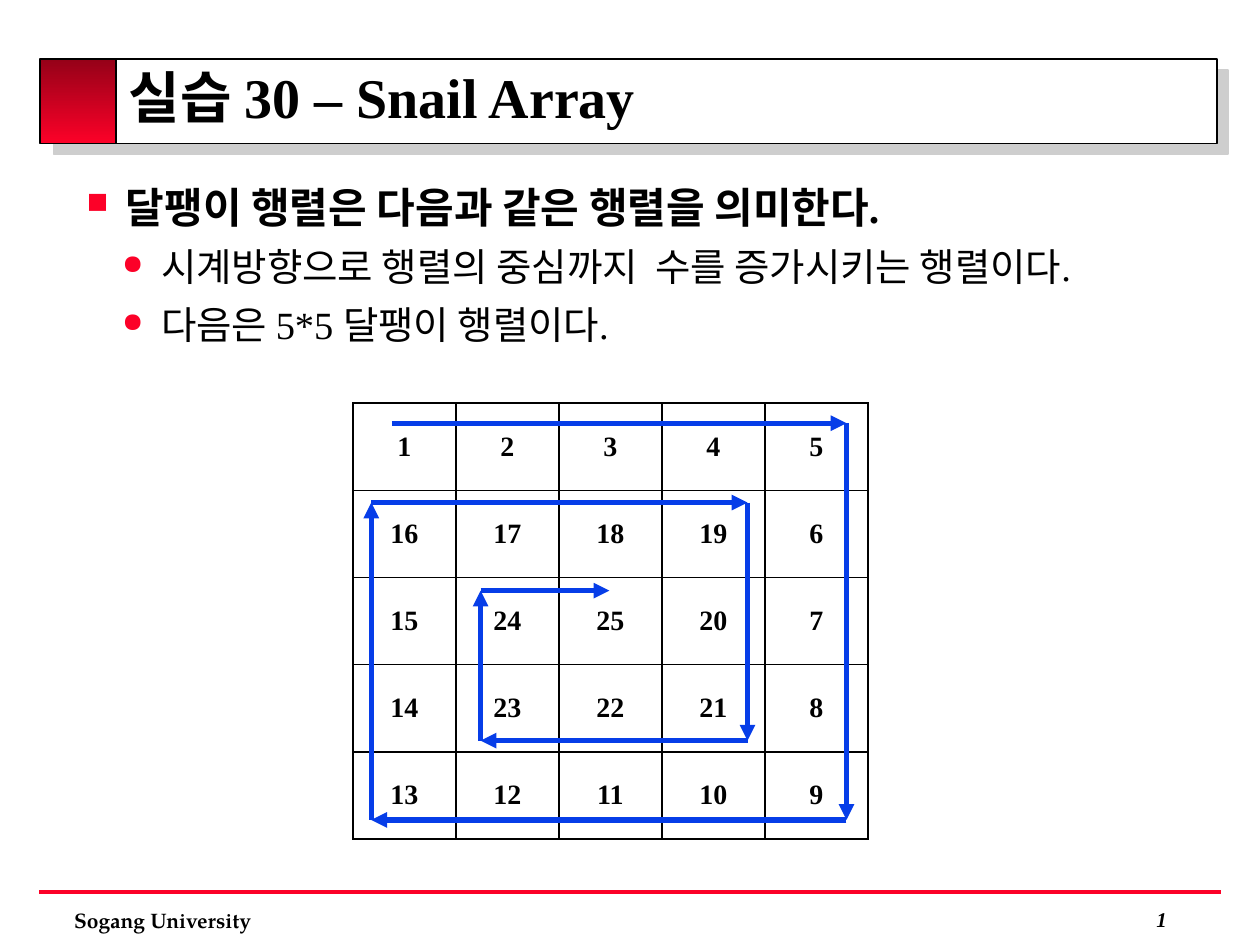
from dataclasses import dataclass

from lxml import etree
from pptx import Presentation
from pptx import util as u
from pptx.dml.color import RGBColor
from pptx.enum import shapes, text
from pptx.oxml import ns

BLACK = RGBColor(0, 0, 0)
WHITE = RGBColor(0xFF, 0xFF, 0xFF)
RED = RGBColor(0xFC, 0x01, 0x28)
WINE = RGBColor(0x95, 0x01, 0x18)
BLUE = RGBColor(0x06, 0x3D, 0xE8)
GREY = RGBColor(0xCE, 0xCE, 0xCE)
SERIF, BOOK = "Times New Roman", "TeX Gyre Pagella"


@dataclass(frozen=True)
class Box:
    left: float
    top: float
    width: float
    height: float

    def emu(self) -> list:
        return [u.Inches(v) for v in (self.left, self.top, self.width, self.height)]


@dataclass(frozen=True)
class Point:
    text: str
    mark: str
    size: float
    bold: bool
    indent: float
    gap: float


SIZE = 5
GRID = Box(2.8, 3.2, 4.09, 3.46)
CELL_W, CELL_H = GRID.width / SIZE, GRID.height / SIZE

# The spiral starts here, then turns at each stop: column, row, column, ...
START = (0.38, 0.23)
STOPS = (4.79, 4.78, 0.18, 1.14, 3.83, 3.87, 1.24, 2.15, 2.49)

POINTS = (
    Point("달팽이 행렬은 다음과 같은 행렬을 의미한다.", "■", 24, True, 0.31, 0),
    Point("시계방향으로 행렬의 중심까지  수를 증가시키는 행렬이다.", "●", 22, False, 0.59, 6.6),
    Point("다음은 5*5 달팽이 행렬이다.", "●", 22, False, 0.59, 6.6),
)


def node(parent, tag: str, **attrs):
    return etree.SubElement(parent, ns.qn(tag), {k: str(v) for k, v in attrs.items()})


def shade(props, dist: float):
    """Add a grey shadow falling down and to the right."""
    fx = node(props, "a:effectLst")
    drop = node(fx, "a:outerShdw", blurRad=0, dist=u.Pt(dist), dir=45 * 60000,
                algn="tl", rotWithShape=0)
    node(drop, "a:srgbClr", val=GREY)
    return fx


def style(font, size: float, bold: bool = True, name: str = SERIF) -> None:
    font.size, font.bold, font.name = u.Pt(size), bold, name
    font.color.rgb = BLACK


def block(slide, box: Box):
    shape = slide.shapes.add_shape(shapes.MSO_SHAPE.RECTANGLE, *box.emu())
    shape.shadow.inherit = False
    shape.line.color.rgb, shape.line.width = BLACK, u.Pt(1)
    return shape


def label(slide, box: Box, words: str, name: str = SERIF):
    shape = slide.shapes.add_textbox(*box.emu())
    para = shape.text_frame.paragraphs[0]
    para.text = words
    style(para.font, 12, name=name)
    return shape


def line(slide, start: tuple, end: tuple, color: RGBColor, width: float,
         arrow: bool = False) -> None:
    ends = [u.Inches(v) for v in (*start, *end)]
    link = slide.shapes.add_connector(shapes.MSO_CONNECTOR.STRAIGHT, *ends)
    link.line.color.rgb, link.line.width = color, u.Pt(width)
    if arrow:
        node(link.line._get_or_add_ln(), "a:tailEnd", type="triangle")
    node(link._element.spPr, "a:effectLst")


def header(slide) -> None:
    panel = block(slide, Box(0.34, 0.47, 9.32, 0.67))
    panel.fill.solid()
    panel.fill.fore_color.rgb = WHITE
    props = panel._element.spPr
    props.remove(props.find(ns.qn("a:effectLst")))
    shade(props, 8.5)

    badge = block(slide, Box(0.32, 0.47, 0.6, 0.67))
    badge.fill.gradient()
    badge.fill.gradient_angle = 270
    for stop, color in zip(badge.fill.gradient_stops, (WINE, RED)):
        stop.color.rgb = color
    for stop, place in zip(badge.fill.gradient_stops, (0, 1)):
        stop.position = place

    title = slide.shapes.title
    slide.shapes._spTree.append(title._element)
    title.left, title.top, title.width, title.height = Box(0.92, 0.44, 8.77, 0.75).emu()
    frame = title.text_frame
    frame.vertical_anchor = text.MSO_ANCHOR.MIDDLE
    para = frame.paragraphs[0]
    para.alignment, para.line_spacing = text.PP_ALIGN.LEFT, 0.8
    run = para.add_run()
    run.text = "실습 30 – Snail Array"
    style(run.font, 32)
    props = run._r.get_or_add_rPr()
    props.find(ns.qn("a:latin")).addprevious(shade(props, 2.4))


def footer(slide) -> None:
    line(slide, (0.31, 7.08), (9.69, 7.08), RED, 2.25)
    label(slide, Box(0.49, 7.15, 2.86, 0.3), "Sogang University", BOOK)
    page = label(slide, Box(8.58, 7.14, 0.78, 0.31), "1")
    page.text_frame.vertical_anchor = text.MSO_ANCHOR.MIDDLE
    para = page.text_frame.paragraphs[0]
    para.alignment, para.font.italic = text.PP_ALIGN.RIGHT, True


def body(slide) -> None:
    frame = slide.shapes.add_textbox(*Box(0.59, 1.39, 8.77, 1.6).emu()).text_frame
    frame.word_wrap = True
    for i, point in enumerate(POINTS):
        para = frame.add_paragraph() if i else frame.paragraphs[0]
        para.text, para.space_before = point.text, u.Pt(point.gap)
        para.level = min(i, 1)
        props = para._p.get_or_add_pPr()
        props.set("marL", str(u.Inches(point.indent)))
        props.set("indent", str(u.Inches(-0.31)))
        node(node(props, "a:buClr"), "a:srgbClr", val=RED)
        node(props, "a:buSzPct", val=70000)
        node(props, "a:buChar", char=point.mark)
        style(para.font, point.size, point.bold)


def snail(size: int) -> list[list[int]]:
    """Number a square clockwise from its corner to its centre."""
    grid = [[0] * size for _ in range(size)]
    row, col, down, right = 0, 0, 0, 1
    for n in range(1, size * size + 1):
        grid[row][col] = n
        r, c = row + down, col + right
        if not (0 <= r < size and 0 <= c < size) or grid[r][c]:
            down, right = right, -down
        row, col = row + down, col + right
    return grid


def border(cell) -> None:
    props = cell._tc.get_or_add_tcPr()
    for side in ("a:lnL", "a:lnR", "a:lnT", "a:lnB"):
        edge = node(props, side, w=u.Pt(1))
        node(node(edge, "a:solidFill"), "a:srgbClr", val=BLACK)


def matrix(slide) -> None:
    table = slide.shapes.add_table(SIZE, SIZE, *GRID.emu()).table
    for col in table.columns:
        col.width = u.Inches(CELL_W)
    for r, row in enumerate(snail(SIZE)):
        for c, n in enumerate(row):
            cell = table.cell(r, c)
            border(cell)
            cell.fill.solid()
            cell.fill.fore_color.rgb = WHITE
            cell.vertical_anchor = text.MSO_ANCHOR.MIDDLE
            para = cell.text_frame.paragraphs[0]
            para.text, para.alignment = str(n), text.PP_ALIGN.CENTER
            style(para.font, 16)


def spot(col: float, row: float) -> tuple:
    return GRID.left + col * CELL_W, GRID.top + row * CELL_H


def spiral(slide) -> None:
    here = START
    for i, stop in enumerate(STOPS):
        there = (here[0], stop) if i % 2 else (stop, here[1])
        line(slide, spot(*here), spot(*there), BLUE, 3, arrow=True)
        here = there


def main() -> None:
    deck = Presentation()
    deck.slide_width, deck.slide_height = u.Inches(10), u.Inches(7.5)
    slide = deck.slides.add_slide(deck.slide_layouts[5])
    for draw in (header, footer, body, matrix, spiral):
        draw(slide)
    deck.save("out.pptx")


if __name__ == "__main__":
    main()
